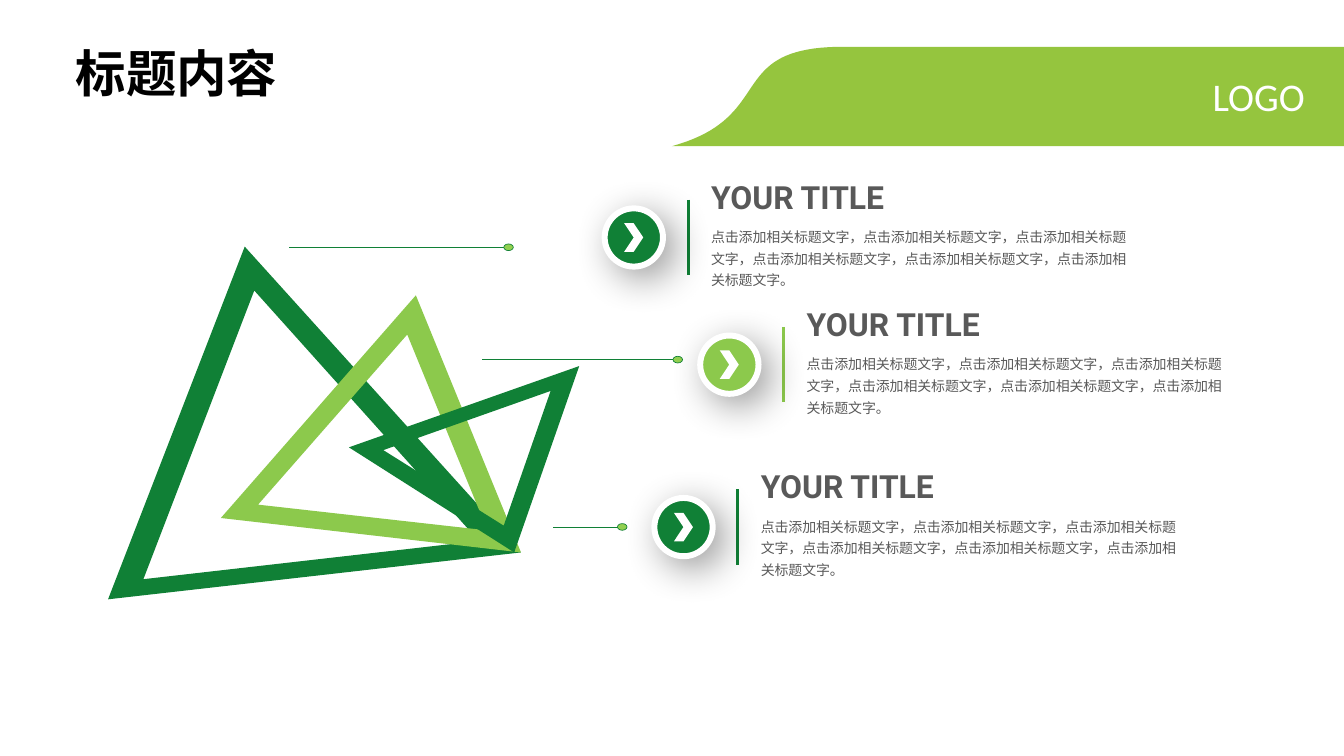
from dataclasses import dataclass

from lxml import etree
from pptx import Presentation
from pptx import util as u
from pptx.dml.color import RGBColor
from pptx.enum import shapes, text
from pptx.oxml.ns import qn

WIDTH, HEIGHT = 14.06, 7.91
COLUMNS = ROWS = 100
COLORS = {
    "dark": "108036", "light": "8CC94C", "dot": "92D050", "banner": "95C53E",
    "gray": "595959", "white": "FFFFFF", "black": "000000",
}
BODY = "点击添加相关标题文字，" * 5 + "点击添加相关标题文字。"
CURVE_STEPS = 40
Point = tuple[float, float]


@dataclass
class Triangle:
    color: str
    outer: list[Point]
    inner: list[Point]


@dataclass
class Leader:
    start: float
    end: float
    row: float


@dataclass
class Item:
    column: float
    row: float
    color: str


@dataclass
class Style:
    font: str
    size: float
    color: str
    bold: bool = False
    spacing: float = 1.0
    align: text.PP_ALIGN = text.PP_ALIGN.LEFT
    wrap: bool = True


BACK_TRIANGLES = [
    Triangle("dark", [(18.21, 32.62), (8.04, 79.27), (38.76, 73.07)],
             [(18.92, 38.43), (35.63, 71.55), (10.67, 76.61)]),
    Triangle("light", [(30.94, 39.06), (16.43, 68.52), (38.76, 73.07)],
             [(30.3, 44.25), (36.27, 70.16), (19.2, 66.75)]),
]
FRONT_TRIANGLE = Triangle("dark", [(25.96, 59.17), (38.26, 73.07), (43.1, 48.42)],
                          [(37.48, 69.53), (28.52, 59.54), (40.97, 51.71)])
LEADERS = [Leader(21.48, 37.84, 32.71), Leader(35.85, 50.43, 47.57), Leader(41.11, 46.3, 69.7)]
ITEMS = [Item(51.21, 26.42, "dark"), Item(54.91, 64.73, "dark"), Item(58.32, 43.24, "light")]
BANNER_CURVE = [(50, 19.34), (57.97, 15.42), (53.77, 6.07), (62.94, 6.19)]

TITLE_STYLE = Style("Calibri", 38, "black", bold=True, wrap=False)
LOGO_STYLE = Style("Calibri", 29.5, "white", align=text.PP_ALIGN.RIGHT, wrap=False)
HEADING_STYLE = Style("Roboto", 24, "gray", bold=True)
BODY_STYLE = Style("Noto Sans CJK SC", 10.5, "gray", spacing=1.3)


def x(column: float) -> int:
    return u.Inches(WIDTH * column / COLUMNS)


def y(row: float) -> int:
    return u.Inches(HEIGHT * row / ROWS)


def rgb(color: str) -> RGBColor:
    return RGBColor.from_string(COLORS[color])


def paint(shape, fill: str, line: str | None = None, weight: float = 0) -> None:
    shape.shadow.inherit = False
    shape.fill.solid()
    shape.fill.fore_color.rgb = rgb(fill)
    if line is None:
        shape.line.fill.background()
    else:
        shape.line.color.rgb = rgb(line)
        shape.line.width = u.Pt(weight)


def add_preset(parent, kind, left: float, top: float, width: float, height: float):
    return parent.shapes.add_shape(kind, x(left), y(top), x(width), y(height))


def add_outline(slide, contours: list[list[Point]], color: str) -> None:
    """Draw closed contours as one shape; a contour wound the other way is a hole."""
    first, *holes = [[(x(column), y(row)) for column, row in contour] for contour in contours]
    builder = slide.shapes.build_freeform(*first[0], scale=1.0)
    builder.add_line_segments(first[1:], close=True)
    for hole in holes:
        builder.move_to(*hole[0])
        builder.add_line_segments(hole[1:], close=True)
    paint(builder.convert_to_shape(), color)


def add_line(parent, start: Point, end: Point, color: str, weight: float) -> None:
    connector = parent.shapes.add_connector(
        shapes.MSO_CONNECTOR.STRAIGHT, x(start[0]), y(start[1]), x(end[0]), y(end[1]))
    connector.line.color.rgb = rgb(color)
    connector.line.width = u.Pt(weight)
    etree.SubElement(connector._element.spPr, qn("a:effectLst"))


def write(shape, words: str, style: Style) -> None:
    frame = shape.text_frame
    frame.text = words
    frame.word_wrap = style.wrap
    frame.auto_size = text.MSO_AUTO_SIZE.NONE
    paragraph = frame.paragraphs[0]
    paragraph.alignment = style.align
    paragraph.line_spacing = style.spacing
    font = paragraph.font
    font.name, font.size, font.bold = style.font, u.Pt(style.size), style.bold
    font.color.rgb = rgb(style.color)
    properties = paragraph._p.pPr.find(qn("a:defRPr"))
    etree.SubElement(properties, qn("a:ea"), typeface="Noto Sans CJK SC")


def add_text(slide, left: float, top: float, width: float, height: float,
             words: str, style: Style) -> None:
    write(slide.shapes.add_textbox(x(left), y(top), x(width), y(height)), words, style)


def add_soft_shadow(shape) -> None:
    effects = shape._element.spPr.find(qn("a:effectLst"))
    shadow = etree.SubElement(
        effects, qn("a:outerShdw"), blurRad=str(u.Pt(30)), dist=str(u.Pt(10)),
        dir=str(45 * 60000), algn="tl", rotWithShape="0")
    color = etree.SubElement(shadow, qn("a:srgbClr"), val=COLORS["black"])
    etree.SubElement(color, qn("a:alpha"), val="40000")


def add_triangle(slide, triangle: Triangle) -> None:
    add_outline(slide, [triangle.outer, triangle.inner], triangle.color)


def add_leader(slide, leader: Leader) -> None:
    group = slide.shapes.add_group_shape()
    add_line(group, (leader.end, leader.row), (leader.start, leader.row), "dark", 0.5)
    width, height = 0.71, 0.88
    dot = add_preset(group, shapes.MSO_SHAPE.OVAL, leader.end - width / 2,
                     leader.row - height / 2, width, height)
    paint(dot, "dot", "dark", 0.5)


def add_item(slide, item: Item) -> None:
    column, row = item.column, item.row
    add_line(slide, (column, row), (column, row + 10), item.color, 2.25)
    add_text(slide, column + 1, row + 2.53, 32.93, 10, BODY, BODY_STYLE)
    add_text(slide, column + 1, row - 3.6, 23.61, 6.32, "YOUR TITLE", HEADING_STYLE)
    group = slide.shapes.add_group_shape()
    badge = add_preset(group, shapes.MSO_SHAPE.OVAL, column - 6.22, row + 1.14, 4.34, 7.71)
    paint(badge, item.color, "white", 4.5)
    add_soft_shadow(badge)
    chevron = add_preset(group, shapes.MSO_SHAPE.CHEVRON, column - 4.77, row + 3.1, 1.42, 3.79)
    paint(chevron, "white")


def curve_point(controls: list[Point], t: float) -> Point:
    """Point on a cubic Bézier curve, by repeated interpolation."""
    while len(controls) > 1:
        controls = [(a[0] + (b[0] - a[0]) * t, a[1] + (b[1] - a[1]) * t)
                    for a, b in zip(controls, controls[1:])]
    return controls[0]


def add_banner(slide) -> None:
    edge = [curve_point(BANNER_CURVE, step / CURVE_STEPS) for step in range(CURVE_STEPS + 1)]
    add_outline(slide, [edge + [(COLUMNS, edge[-1][1]), (COLUMNS, edge[0][1])]], "banner")
    add_text(slide, 89.47, 8.98, 8.32, 7.59, "LOGO", LOGO_STYLE)


def main() -> None:
    presentation = Presentation()
    presentation.slide_width, presentation.slide_height = x(COLUMNS), y(ROWS)
    slide = presentation.slides.add_slide(presentation.slide_layouts[5])
    title = slide.shapes.title
    title.left, title.top, title.width, title.height = x(4.91), y(4.93), x(16.64), y(9.36)
    write(title, "标题内容", TITLE_STYLE)
    for triangle in BACK_TRIANGLES:
        add_triangle(slide, triangle)
    for leader in LEADERS:
        add_leader(slide, leader)
    add_triangle(slide, FRONT_TRIANGLE)
    for item in ITEMS:
        add_item(slide, item)
    add_banner(slide)
    presentation.save("out.pptx")


if __name__ == "__main__":
    main()
